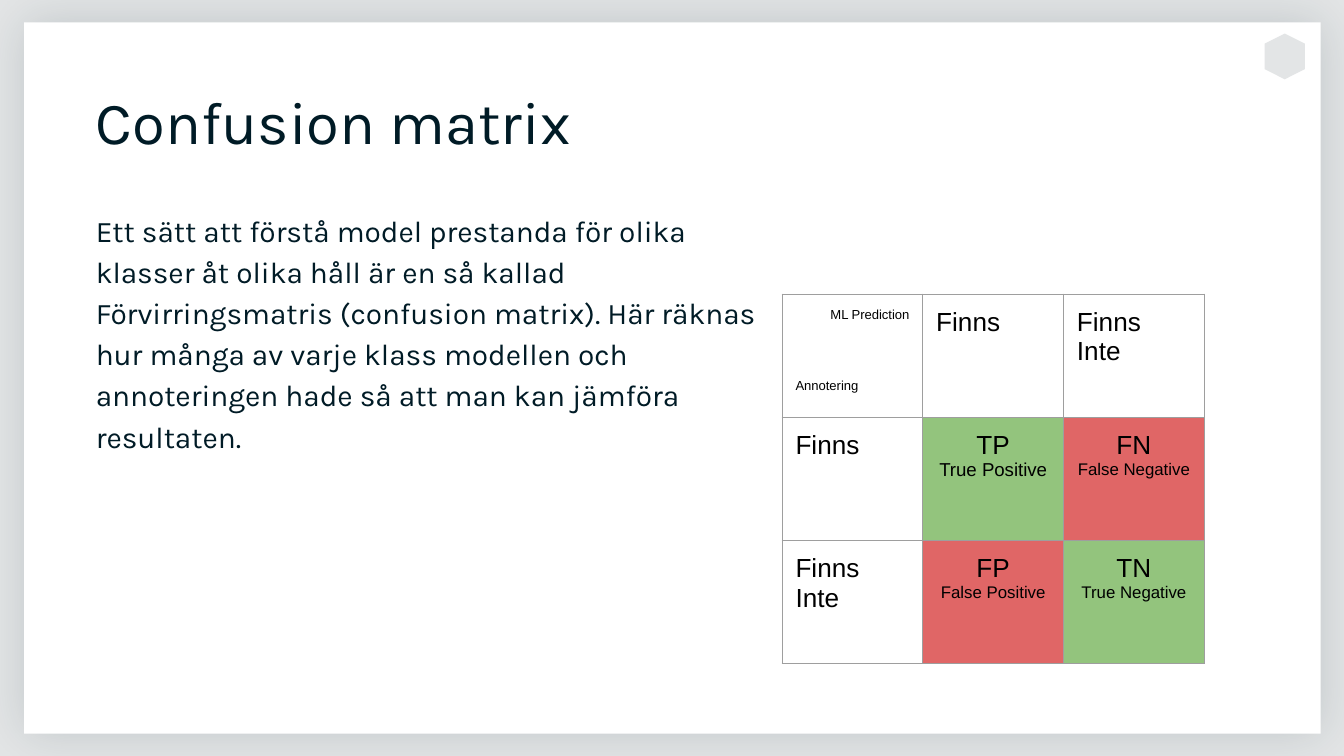
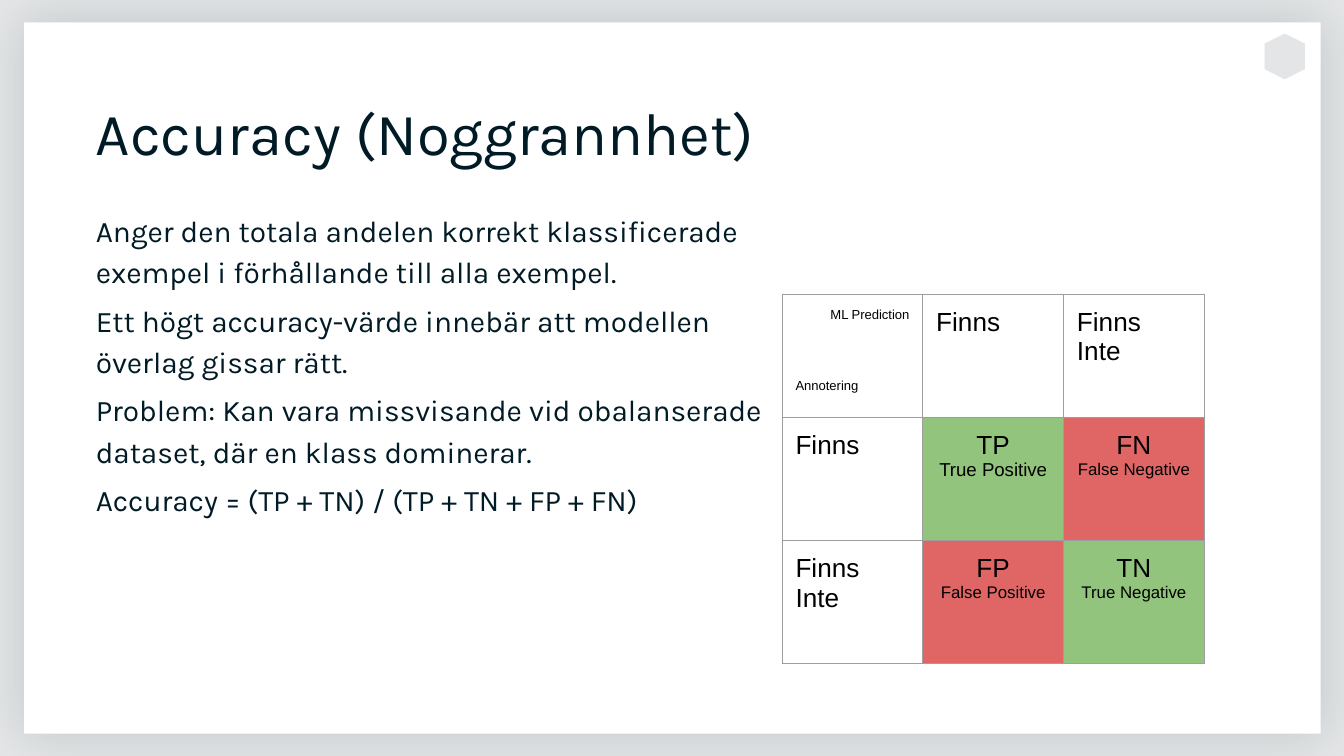
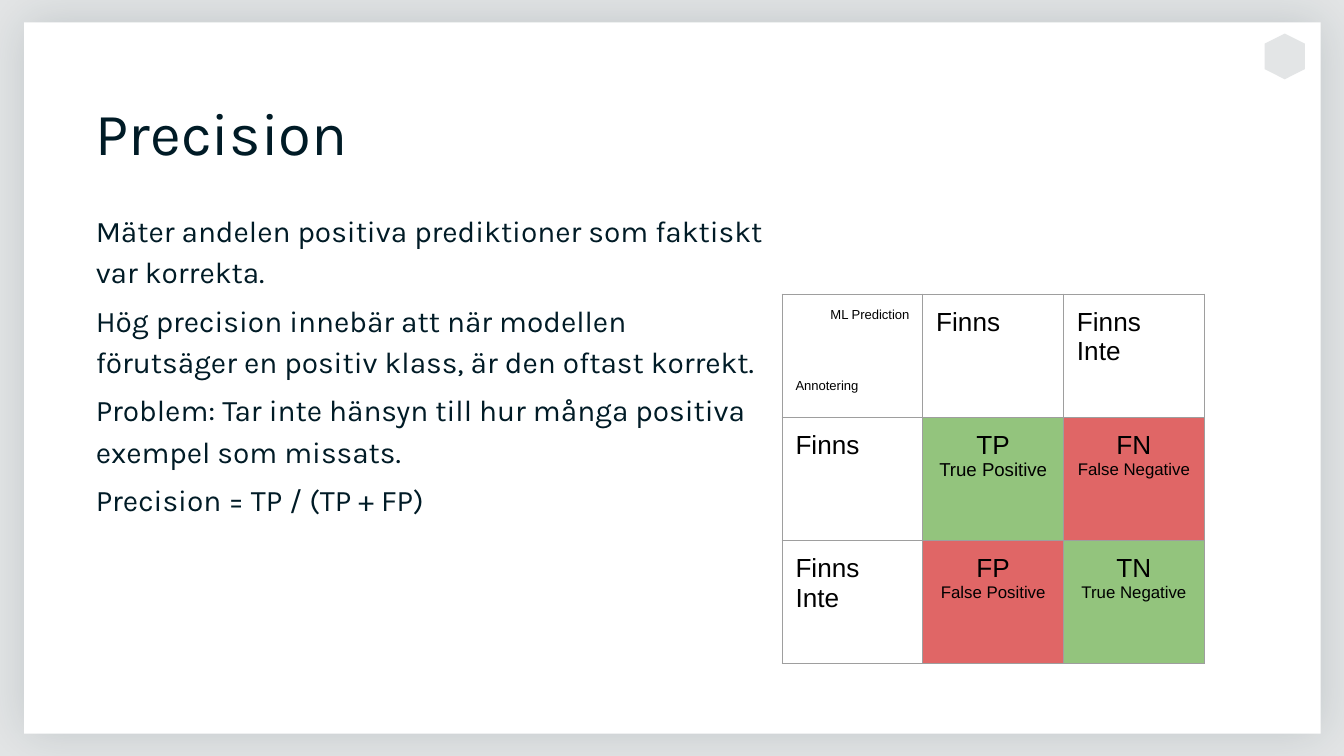
from lxml.etree import SubElement
from pptx import Presentation
from pptx.dml.color import RGBColor
from pptx.enum.shapes import MSO_SHAPE
from pptx.enum.text import MSO_ANCHOR, MSO_AUTO_SIZE, PP_ALIGN
from pptx.oxml import parse_xml
from pptx.oxml.ns import nsdecls, qn
from pptx.util import Pt

INK = RGBColor(0x00, 0x1B, 0x26)
MIST = RGBColor(0xE3, 0xE5, 0xE6)
WHITE = RGBColor(0xFF, 0xFF, 0xFF)
BLACK = RGBColor(0x00, 0x00, 0x00)
GRID = RGBColor(0x9E, 0x9E, 0x9E)
GREEN = RGBColor(0x93, 0xC4, 0x7D)
RED = RGBColor(0xE0, 0x66, 0x66)

SLIDE_SIZE = (720, 405)
PAPER_BOX = (13, 12, 694.5, 381)
EMBLEM_BOX = (676, 18, 24.5, 24.5)
TITLE_BOX = (51.3, 45.4, 464, 46.8)
BODY_BOX = (51.3, 111, 359, 249)
MATRIX_BOX = (419, 157.6, 226.2, 198)

TITLE_FONT = {"name": "Karla", "size": Pt(32), "bold": False}
BODY_FONT = {"name": "Karla", "size": Pt(16)}
FRAME_FORMAT = {
    "word_wrap": True, "auto_size": MSO_AUTO_SIZE.NONE, "vertical_anchor": MSO_ANCHOR.TOP,
    "margin_left": 0, "margin_top": 0, "margin_right": 0, "margin_bottom": 0,
}
CELL_FORMAT = dict.fromkeys(
    ("margin_left", "margin_top", "margin_right", "margin_bottom"), Pt(7.2))

LEFT, CENTER, RIGHT = PP_ALIGN.LEFT, PP_ALIGN.CENTER, PP_ALIGN.RIGHT
MATRIX = [
    [(None, [("ML Prediction", 7, RIGHT, 0), ("Annotering", 7, LEFT, 30.5)]),
     (None, [("Finns", 14, LEFT, 0)]),
     (None, [("Finns Inte", 14, LEFT, 0)])],
    [(None, [("Finns", 14, LEFT, 0)]),
     (GREEN, [("TP", 14, CENTER, 0), ("True Positive", 10, CENTER, 0)]),
     (RED, [("FN", 14, CENTER, 0), ("False Negative", 9, CENTER, 0)])],
    [(None, [("Finns Inte", 14, LEFT, 0)]),
     (RED, [("FP", 14, CENTER, 0), ("False Positive", 9, CENTER, 0)]),
     (GREEN, [("TN", 14, CENTER, 0), ("True Negative", 9, CENTER, 0)])],
]

SLIDES = [
    ("Confusion matrix", 1.0, [
        "Ett sätt att förstå model prestanda för olika klasser åt olika håll är en så kallad "
        "Förvirringsmatris (confusion matrix). Här räknas hur många av varje klass modellen och "
        "annoteringen hade så att man kan jämföra resultaten."]),
    ("Accuracy (Noggrannhet)", 1.15, [
        "Anger den totala andelen korrekt klassificerade exempel i förhållande till alla exempel.",
        "Ett högt accuracy-värde innebär att modellen överlag gissar rätt.",
        "Problem: Kan vara missvisande vid obalanserade dataset, där en klass dominerar.",
        "Accuracy = (TP + TN) / (TP + TN + FP + FN)"]),
    ("Precision", 1.15, [
        "Mäter andelen positiva prediktioner som faktiskt var korrekta.",
        "Hög precision innebär att när modellen förutsäger en positiv klass, är den oftast korrekt.",
        "Problem: Tar inte hänsyn till hur många positiva exempel som missats.",
        "Precision = TP / (TP + FP)"]),
]


def apply_format(target, values):
    """Set every named attribute on the target."""
    for name, value in values.items():
        setattr(target, name, value)


def points(box):
    """Convert a box of point values to lengths."""
    return [Pt(value) for value in box]


def write_paragraph(paragraph, text, font, color, **layout):
    """Fill one paragraph with formatted text."""
    paragraph.text = text
    apply_format(paragraph, layout)
    apply_format(paragraph.runs[0].font, font)
    paragraph.runs[0].font.color.rgb = color


def paragraph_at(frame, index):
    """Return the first paragraph, or a new one after it."""
    return frame.add_paragraph() if index else frame.paragraphs[0]


def add_plain_shape(slide, preset, box, color):
    """Add a filled preset shape without outline or shadow."""
    shape = slide.shapes.add_shape(preset, *points(box))
    shape.fill.solid()
    shape.fill.fore_color.rgb = color
    shape.line.fill.background()
    shape.shadow.inherit = False
    return shape


def add_glow(shape):
    """Give a shape a wide, soft shadow."""
    effects = shape.element.spPr.find(qn("a:effectLst"))
    shadow = SubElement(effects, qn("a:outerShdw"), blurRad=str(Pt(27)),
                        dist=str(Pt(0.8)), dir="0", algn="ctr", rotWithShape="0")
    color = SubElement(shadow, qn("a:srgbClr"), val=str(INK))
    SubElement(color, qn("a:alpha"), val="15000")


def dress_layout(layout, slide):
    """Put the background, paper and emblem on the shared layout."""
    layout.background.fill.solid()
    layout.background.fill.fore_color.rgb = MIST
    paper = add_plain_shape(slide, MSO_SHAPE.RECTANGLE, PAPER_BOX, WHITE)
    add_glow(paper)
    emblem = add_plain_shape(slide, MSO_SHAPE.HEXAGON, EMBLEM_BOX, MIST)
    emblem.height = Pt(21.6)
    emblem.top += Pt(1.45)
    emblem.rotation = 90
    for part in (paper, emblem):
        layout.shapes.element.append(part.element)


def set_title(slide, text, spacing, box):
    """Place and format the title placeholder."""
    title = slide.shapes.title
    apply_format(title, dict(zip(("left", "top", "width", "height"), points(box))))
    apply_format(title.text_frame, FRAME_FORMAT)
    write_paragraph(title.text_frame.paragraphs[0], text, TITLE_FONT, INK,
                    alignment=LEFT, line_spacing=spacing)


def add_body(slide, statements, box):
    """Add the explanatory paragraphs."""
    frame = slide.shapes.add_textbox(*points(box)).text_frame
    apply_format(frame, FRAME_FORMAT)
    for index, statement in enumerate(statements):
        write_paragraph(paragraph_at(frame, index), statement, BODY_FONT, INK,
                        line_spacing=1.15, space_before=Pt(4 if index else 0))


def set_borders(cell):
    """Draw the grid line on all four sides of a cell."""
    properties = cell._tc.get_or_add_tcPr()
    for side in ("lnL", "lnR", "lnT", "lnB"):
        properties.append(parse_xml(
            f'<a:{side} {nsdecls("a")} w="{Pt(0.75)}"><a:solidFill>'
            f'<a:srgbClr val="{GRID}"/></a:solidFill></a:{side}>'))


def fill_cell(cell, color, lines):
    """Format one matrix cell and write its lines."""
    apply_format(cell, CELL_FORMAT)
    set_borders(cell)
    if color is None:
        cell.fill.background()
    else:
        cell.fill.solid()
        cell.fill.fore_color.rgb = color
    for index, (text, size, alignment, before) in enumerate(lines):
        write_paragraph(paragraph_at(cell.text_frame, index), text,
                        {"name": "Arial", "size": Pt(size), "bold": False}, BLACK,
                        alignment=alignment, space_before=Pt(before))


def add_matrix(slide, box):
    """Add the confusion matrix as an even grid."""
    matrix = slide.shapes.add_table(len(MATRIX), len(MATRIX[0]), *points(box)).table
    apply_format(matrix, {"first_row": False, "horz_banding": False})
    for row, entries in enumerate(MATRIX):
        for column, (color, lines) in enumerate(entries):
            fill_cell(matrix.cell(row, column), color, lines)


def main():
    """Build and save the presentation."""
    deck = Presentation()
    deck.slide_width, deck.slide_height = points(SLIDE_SIZE)
    layout = deck.slide_layouts[5]
    for index, (title, spacing, statements) in enumerate(SLIDES):
        slide = deck.slides.add_slide(layout)
        if index == 0:
            dress_layout(layout, slide)
        set_title(slide, title, spacing, TITLE_BOX)
        add_body(slide, statements, BODY_BOX)
        add_matrix(slide, MATRIX_BOX)
    deck.save("out.pptx")


if __name__ == "__main__":
    main()
